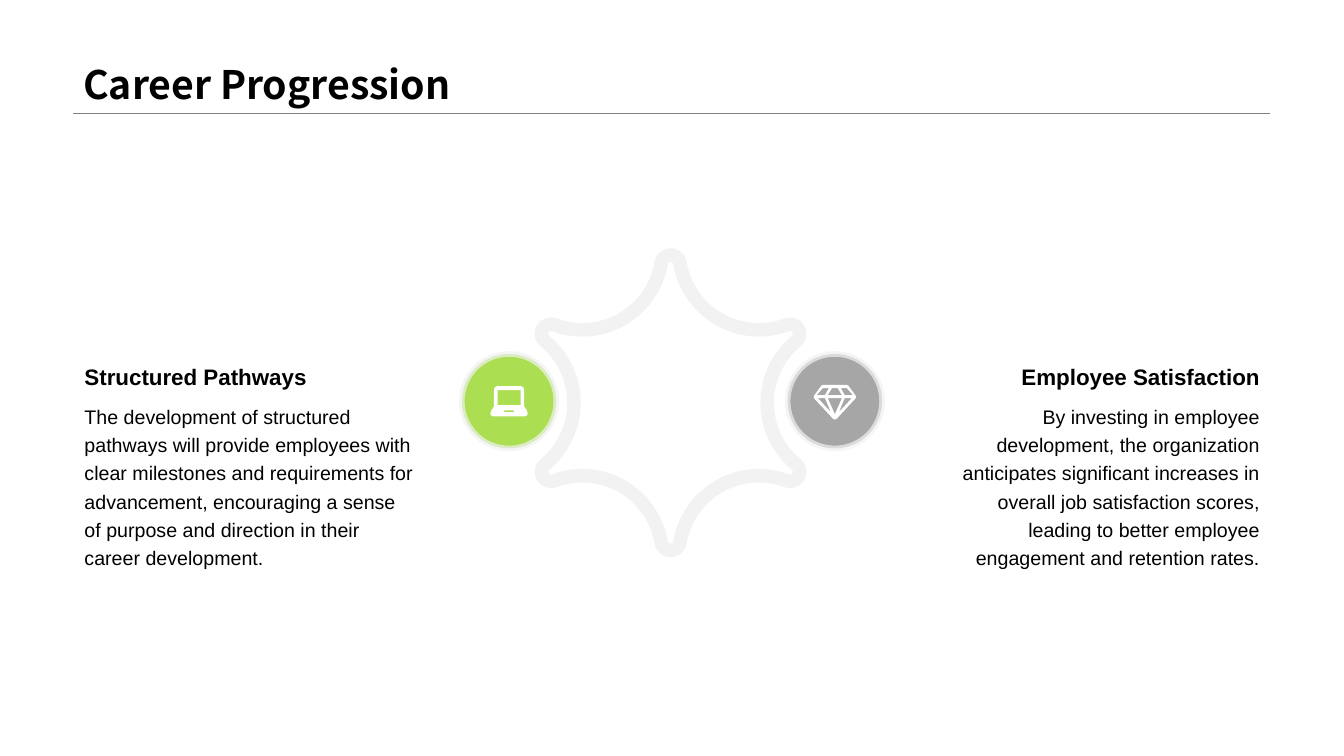
import math

from lxml import etree
from pptx import Presentation
from pptx.dml.color import RGBColor
from pptx.enum.shapes import MSO_CONNECTOR, MSO_SHAPE
from pptx.enum.text import MSO_ANCHOR, MSO_AUTO_SIZE, PP_ALIGN
from pptx.oxml.ns import qn
from pptx.util import Cm, Pt

LEFT, RIGHT = PP_ALIGN.LEFT, PP_ALIGN.RIGHT
TOP, BOTTOM = MSO_ANCHOR.TOP, MSO_ANCHOR.BOTTOM
GROW = MSO_AUTO_SIZE.SHAPE_TO_FIT_TEXT
FIXED = MSO_AUTO_SIZE.NONE
STRAIGHT = MSO_CONNECTOR.STRAIGHT
OVAL = MSO_SHAPE.OVAL

BLACK, WHITE = "000000", "FFFFFF"
PALE, RULE_GRAY = "F2F2F2", "808080"
GREEN, GRAY = "ABDE51", "A6A6A6"


def color(value):
    return RGBColor.from_string(value)


def arc(center, radius, start, end, steps=8):
    angles = [math.radians(start + (end - start) * i / steps) for i in range(steps + 1)]
    return [(center[0] + radius * math.cos(a), center[1] + radius * math.sin(a)) for a in angles]


def flip(points):
    return [(-x, y) for x, y in points]


def mirror(half):
    return half + flip(half)[::-1]


def rotate(points, degrees):
    cosine, sine = math.cos(math.radians(degrees)), math.sin(math.radians(degrees))
    return [(x * cosine - y * sine, x * sine + y * cosine) for x, y in points]


def star_contour(cap_radius):
    tip = (3.48, 0)
    bay = (4.45 * math.cos(math.pi / 6), 4.45 * math.sin(math.pi / 6))
    tangent = math.degrees(math.atan2(bay[1] - tip[1], bay[0] - tip[0]))
    bay_radius = math.dist(tip, bay) - cap_radius
    branch = arc(tip, cap_radius, -tangent, tangent, 16)
    branch += arc(bay, bay_radius, 180 + tangent, 240 - tangent, 24)
    return [point for turn in range(6) for point in rotate(branch, 60 * turn - 90)]


def laptop_contours():
    case = arc((0.28, -0.28), 0.1, -90, 0) + [(0.38, 0.13), (0.45, 0.24)]
    case += arc((0.4, 0.31), 0.07, 0, 90)
    screen = [(0.29, -0.28), (0.29, 0.1)]
    notch = [(0.11, 0.23), (0.14, 0.28)]
    return [mirror(half) for half in (case, screen, notch)]


def diamond_contours():
    outline = [(0.3, -0.41), (0.34, -0.39), (0.53, -0.13), (0.53, -0.08), (0.03, 0.46)]
    middle_crown = [(0.07, -0.33), (0.18, -0.15)]
    middle_base = [(0.18, -0.08), (0, 0.33)]
    side_crown = [(0.46, -0.15), (0.3, -0.33), (0.15, -0.33), (0.25, -0.15)]
    side_base = [(0.43, -0.08), (0.25, -0.08), (0.1, 0.28)]
    contours = [mirror(half) for half in (outline, middle_crown, middle_base)]
    for facet in (side_crown, side_base):
        contours += [facet, flip(facet)]
    return contours


class SlideBuilder:
    title = {"name": "Noto Sans CJK SC", "size": Pt(28), "bold": True}
    heading = {"name": "Arial", "size": Pt(16), "bold": True}
    body = {"name": "Arial", "size": Pt(14), "bold": False}

    def __init__(self, presentation):
        self.slide = presentation.slides.add_slide(presentation.slide_layouts[6])
        self.shapes = self.slide.shapes

    def text(self, box, content, style, spacing, align=LEFT, anchor=TOP, fit=GROW):
        frame = self.shapes.add_textbox(*map(Cm, box)).text_frame
        paragraph = frame.paragraphs[0]
        run = paragraph.add_run()
        run.text = content
        run.font.color.rgb = color(BLACK)
        formats = (
            (frame, {"word_wrap": True, "auto_size": fit, "vertical_anchor": anchor}),
            (paragraph, {"alignment": align, "line_spacing": spacing}),
            (run.font, style),
        )
        for target, values in formats:
            for name, value in values.items():
                setattr(target, name, value)

    def rule(self, left, right, top):
        line = self.shapes.add_connector(STRAIGHT, Cm(left), Cm(top), Cm(right), Cm(top))
        line.line.color.rgb = color(RULE_GRAY)
        line.line.width = Pt(0.25)
        etree.SubElement(line._element.spPr, qn("a:effectLst"))

    def fill(self, shape, value):
        shape.shadow.inherit = False
        shape.fill.solid()
        shape.fill.fore_color.rgb = color(value)

    def outline(self, center, contours, value):
        builder = None
        for contour in contours:
            points = [(Cm(center[0] + x), Cm(center[1] + y)) for x, y in contour]
            if builder is None:
                builder = self.shapes.build_freeform(*points[0])
            else:
                builder.move_to(*points[0])
            builder.add_line_segments(points[1:], close=True)
        shape = builder.convert_to_shape()
        self.fill(shape, value)
        shape.line.fill.background()

    def medallion(self, center, value, icon):
        diameter = 2.38
        left, top = (Cm(position - diameter / 2) for position in center)
        disc = self.shapes.add_shape(OVAL, left, top, Cm(diameter), Cm(diameter))
        self.fill(disc, value)
        disc.line.color.rgb = color(PALE)
        disc.line.width = Pt(4)
        tint = disc.line._ln.find(".//" + qn("a:srgbClr"))
        etree.SubElement(tint, qn("a:alpha")).set("val", "70000")
        self.outline(center, icon, WHITE)

    def topic(self, left, heading, body, align):
        self.text((left, 9.96, 8.84, 3.12), body, self.body, 1.2, align)
        self.text((left, 8.97, 8.84, 0.94), heading, self.heading, 1.1, align)


def main():
    presentation = Presentation()
    presentation.slide_width, presentation.slide_height = Cm(33.87), Cm(19.05)
    builder = SlideBuilder(presentation)

    builder.rule(1.85, 32, 2.84)
    builder.text((1.85, 0, 30.15, 2.84), "Career Progression", builder.title, 0.9,
                 anchor=BOTTOM, fit=FIXED)
    builder.medallion((21.04, 10.11), GRAY, diamond_contours())
    builder.medallion((12.83, 10.11), GREEN, laptop_contours())
    builder.outline((16.9, 10.15), [star_contour(radius) for radius in (0.41, 0.07)], PALE)
    builder.topic(
        23.16, "Employee Satisfaction",
        "By investing in employee development, the organization anticipates significant "
        "increases in overall job satisfaction scores, leading to better employee "
        "engagement and retention rates.", RIGHT)
    builder.topic(
        1.88, "Structured Pathways",
        "The development of structured pathways will provide employees with clear "
        "milestones and requirements for advancement, encouraging a sense of purpose "
        "and direction in their career development.", LEFT)
    presentation.save("out.pptx")


if __name__ == "__main__":
    main()
